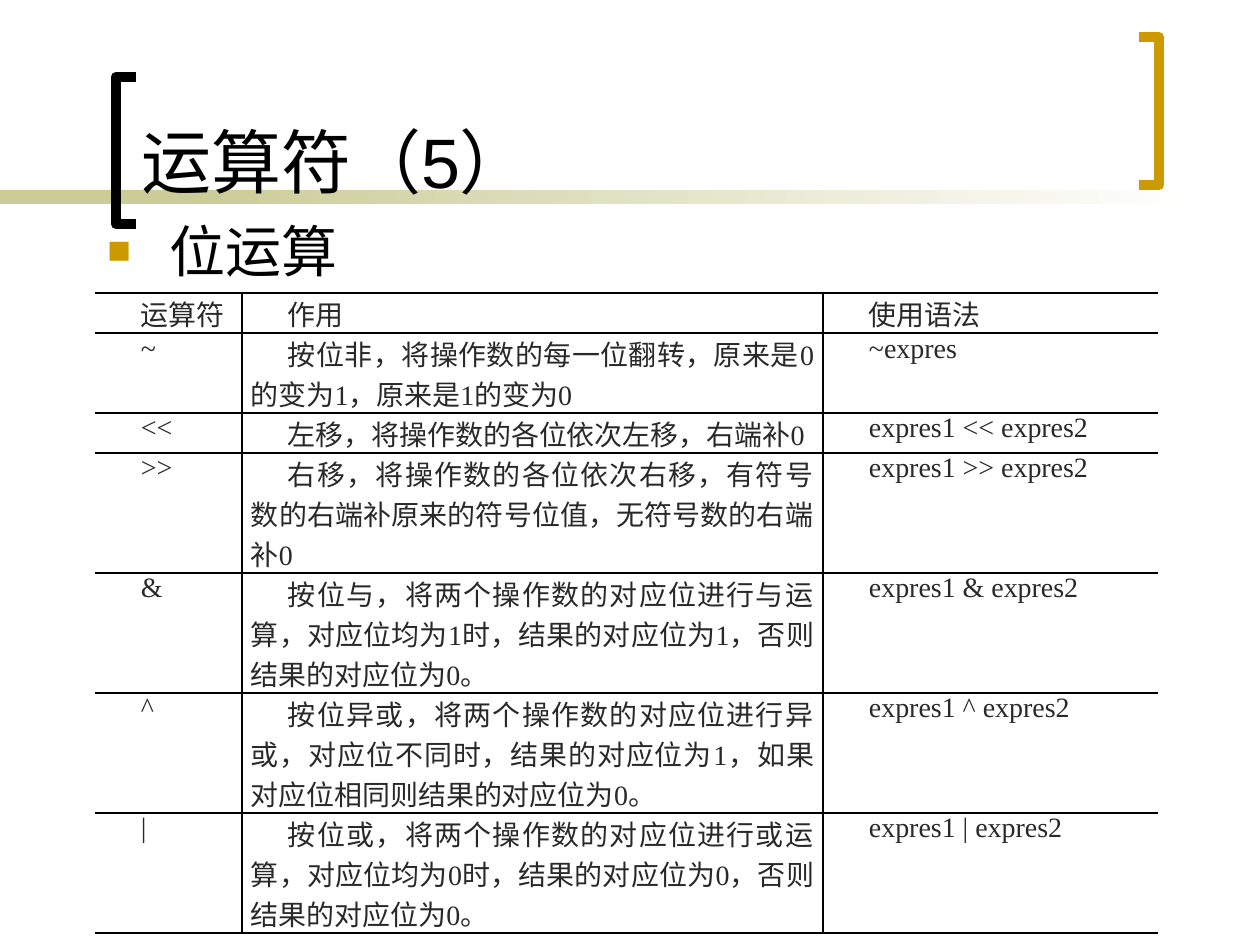
from lxml.etree import SubElement
from pptx import Presentation
from pptx.dml.color import RGBColor
from pptx.enum.shapes import MSO_SHAPE
from pptx.enum.text import MSO_ANCHOR, PP_ALIGN
from pptx.oxml.ns import qn
from pptx.util import Emu, Pt

BLACK = RGBColor(0x00, 0x00, 0x00)
WHITE = RGBColor(0xFF, 0xFF, 0xFF)
KHAKI = RGBColor(0xCC, 0xCC, 0x99)
GOLD = RGBColor(0xCC, 0x99, 0x00)
CHARCOAL = RGBColor(0x29, 0x29, 0x29)

OPERATORS = [
    ("运算符", "作用", "使用语法"),
    ("~", "按位非，将操作数的每一位翻转，原来是0的变为1，原来是1的变为0", "~expres"),
    ("<<", "左移，将操作数的各位依次左移，右端补0", "expres1 << expres2"),
    (">>", "右移，将操作数的各位依次右移，有符号数的右端补原来的符号位值，无符号数的右端补0",
     "expres1 >> expres2"),
    ("&", "按位与，将两个操作数的对应位进行与运算，对应位均为1时，结果的对应位为1，否则结果的对应位为0。",
     "expres1 & expres2"),
    ("^", "按位异或，将两个操作数的对应位进行异或，对应位不同时，结果的对应位为1，如果对应位相同则结果的对应位为0。",
     "expres1 ^ expres2"),
    ("|", "按位或，将两个操作数的对应位进行或运算，对应位均为0时，结果的对应位为0，否则结果的对应位为0。",
     "expres1 | expres2"),
]
LINES_PER_ROW = [1, 2, 1, 3, 3, 3, 3]
LINE_HEIGHT = 40
COLUMN_WIDTHS = [147, 581, 335]


def px(length):
    return Emu(round(length * 914400 / 126))


class SlideBuilder:
    heading_font = "Arial"
    table_font = "Times New Roman"

    def __init__(self, slide):
        self.slide = slide

    def band(self, left, top, width, height, start, end=None):
        """Draw a bar, fading from start to end when end is given."""
        bar = self.slide.shapes.add_shape(
            MSO_SHAPE.RECTANGLE, px(left), px(top), px(width), px(height))
        bar.shadow.inherit = False
        bar.line.fill.background()
        if end is None:
            bar.fill.solid()
            bar.fill.fore_color.rgb = start
            return
        bar.fill.gradient()
        bar.fill.gradient_angle = 0
        for stop, color in zip(bar.fill.gradient_stops, (start, end)):
            stop.color.rgb = color

    def bracket(self, tip, spine, top, bottom, color):
        """Draw an open bracket whose arms reach from spine to tip."""
        outline = self.slide.shapes.build_freeform(px(tip), px(top), scale=1.0)
        corners = [(spine, top), (spine, bottom), (tip, bottom)]
        outline.add_line_segments([(px(x), px(y)) for x, y in corners], close=False)
        bracket = outline.convert_to_shape()
        bracket.shadow.inherit = False
        bracket.fill.background()
        bracket.line.color.rgb = color
        bracket.line.width = Pt(6)

    def text_run(self, paragraph, text, size, font, color):
        run = paragraph.add_run()
        run.text = text
        run.font.size = Pt(size)
        run.font.name = font
        run.font.color.rgb = color

    def heading(self, left, top, width, height, text, size, anchor):
        frame = self.slide.shapes.add_textbox(
            px(left), px(top), px(width), px(height)).text_frame
        frame.word_wrap = True
        frame.vertical_anchor = anchor
        paragraph = frame.paragraphs[0]
        self.text_run(paragraph, text, size, self.heading_font, BLACK)
        return paragraph

    def bullet(self, paragraph, indent, color):
        paragraph.space_before = Pt(6)
        properties = paragraph._p.get_or_add_pPr()
        properties.set("marL", str(px(indent)))
        properties.set("indent", str(-px(indent)))
        bullet_color = SubElement(properties, qn("a:buClr"))
        SubElement(bullet_color, qn("a:srgbClr"), val=str(color))
        SubElement(properties, qn("a:buSzPct"), val="70000")
        SubElement(properties, qn("a:buFont"), typeface=self.heading_font)
        SubElement(properties, qn("a:buChar"), char="■")

    def border(self, cell, side, points):
        """Set one cell border; zero points hides it."""
        edge = SubElement(cell._tc.get_or_add_tcPr(), qn("a:ln" + side),
                          w=str(Pt(points)))
        if points:
            fill = SubElement(edge, qn("a:solidFill"))
            SubElement(fill, qn("a:srgbClr"), val=str(BLACK))
        else:
            SubElement(edge, qn("a:noFill"))

    def cell(self, cell, text, borders):
        cell.margin_left = cell.margin_right = px(9)
        cell.margin_top = cell.margin_bottom = 0
        for side, points in borders.items():
            self.border(cell, side, points)
        cell.fill.background()
        paragraph = cell.text_frame.paragraphs[0]
        paragraph.alignment = PP_ALIGN.JUSTIFY
        paragraph._p.get_or_add_pPr().set("indent", str(px(37)))
        self.text_run(paragraph, text, 16, self.table_font, CHARCOAL)

    def table(self, left, top, widths, heights, rows):
        table = self.slide.shapes.add_table(
            len(rows), len(widths), px(left), px(top),
            px(sum(widths)), px(sum(heights))).table
        table.first_row = table.horz_banding = False
        for column, width in zip(table.columns, widths):
            column.width = px(width)
        for row, height in zip(table.rows, heights):
            row.height = px(height)
        last_row, last_column = len(rows) - 1, len(widths) - 1
        for r, texts in enumerate(rows):
            for c, text in enumerate(texts):
                borders = {
                    "L": 1 if c > 0 else 0,
                    "R": 1 if c < last_column else 0,
                    "T": 1.5 if r < 2 else 1,
                    "B": 1.5 if r in (0, last_row) else 1,
                }
                self.cell(table.cell(r, c), text, borders)


def main():
    deck = Presentation()
    deck.slide_width, deck.slide_height = px(1260), px(945)
    builder = SlideBuilder(deck.slides.add_slide(deck.slide_layouts[6]))

    builder.band(0, 190, 294, 14, KHAKI)
    builder.band(199, 190, 998, 14, KHAKI, WHITE)
    builder.bracket(136, 116, 77, 224, BLACK)
    builder.bracket(1139, 1159, 37, 185, GOLD)

    builder.heading(129, 14, 987, 195, "运算符（5）", 40, MSO_ANCHOR.BOTTOM)
    topic = builder.heading(95, 210, 1056, 73, "位运算", 32, MSO_ANCHOR.TOP)
    builder.bullet(topic, 62, GOLD)

    heights = [lines * LINE_HEIGHT for lines in LINES_PER_ROW]
    builder.table(95, 293, COLUMN_WIDTHS, heights, OPERATORS)
    deck.save("out.pptx")


if __name__ == "__main__":
    main()
